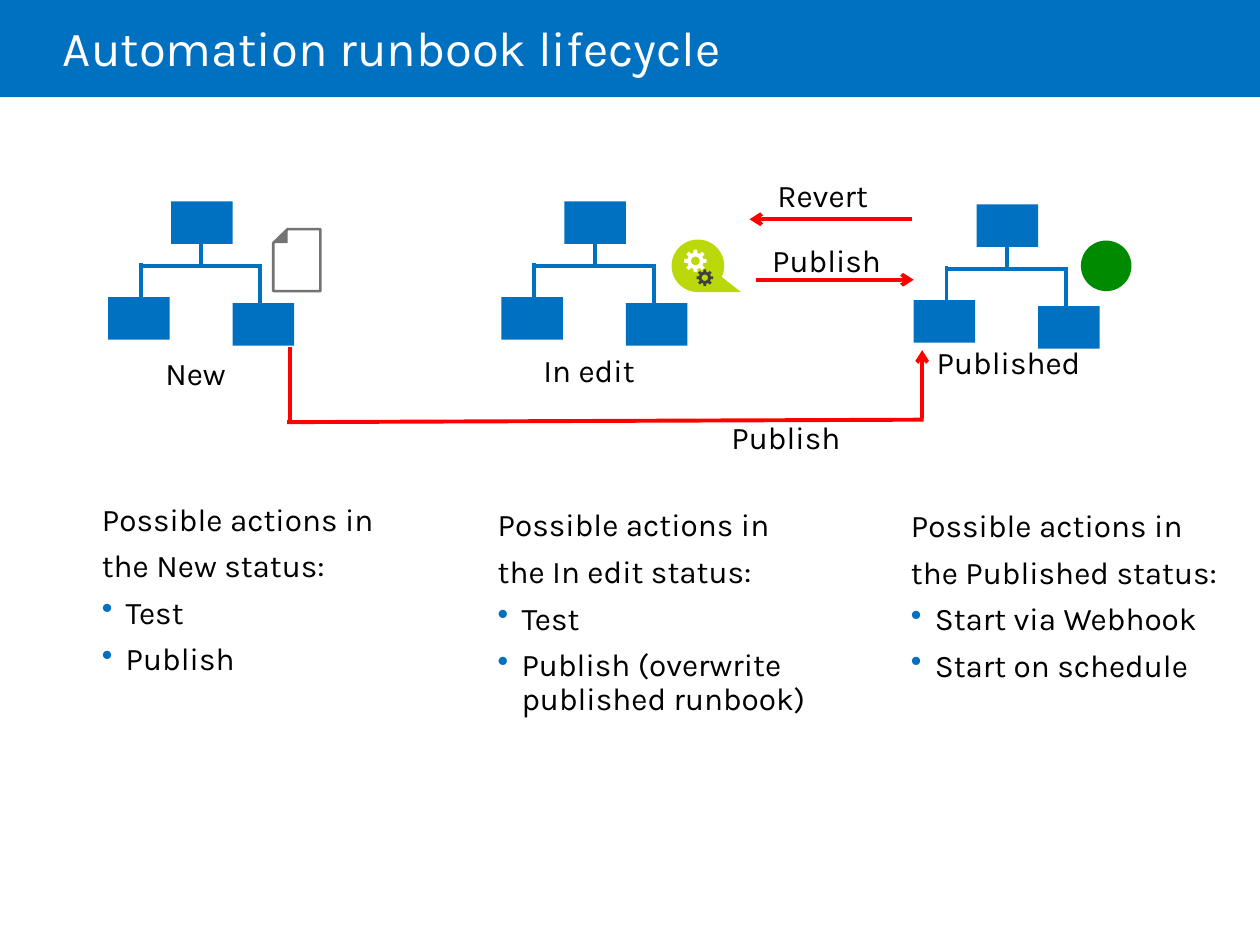
from dataclasses import dataclass
from math import cos, radians, sin

from lxml import etree
from pptx import Presentation
from pptx.dml.color import RGBColor
from pptx.enum.shapes import MSO_CONNECTOR, MSO_SHAPE
from pptx.enum.text import MSO_ANCHOR, PP_ALIGN
from pptx.oxml.ns import qn
from pptx.util import Cm, Pt

RECT = MSO_SHAPE.RECTANGLE
ROUND = MSO_SHAPE.ROUNDED_RECTANGLE
OVAL = MSO_SHAPE.OVAL
STRAIGHT = MSO_CONNECTOR.STRAIGHT
MIDDLE = MSO_ANCHOR.MIDDLE
LEFT, CENTER = PP_ALIGN.LEFT, PP_ALIGN.CENTER

FONT = "Karla"
BLUE, RED, GREEN, LIME = "0070C0", "FF0000", "008A00", "BAD80A"
WHITE, BLACK, GREY, DARK = "FFFFFF", "000000", "737373", "404041"

Point = tuple[float, float]


@dataclass
class Label:
    text: str
    x: float
    y: float
    w: float = 4.75
    align: int = LEFT
    spacing: float = 0.9


@dataclass
class Actions:
    x: float
    y: float
    status: str
    items: list[str]


@dataclass
class Line:
    x1: float
    y1: float
    x2: float
    y2: float
    arrow: bool = False


# Diagram parts, in cm
ORG_ORIGINS = [(2.18, 4.06), (10.11, 4.06), (18.42, 4.12)]
ORG_BOXES = [(1.27, 0), (0, 1.93), (2.51, 2.05)]
ORG_LINES = [Line(3.07, 1.27, 3.07, 2.13), Line(0.66, 1.25, 0.66, 2.11),
             Line(1.88, 0.46, 1.88, 1.33), Line(3.07, 1.3, 0.66, 1.3)]
FLOWS = [Line(15.24, 5.64, 18.42, 5.64, True), Line(18.39, 4.42, 15.11, 4.42, True),
         Line(5.84, 6.99, 5.84, 8.51), Line(5.79, 8.51, 18.62, 8.46),
         Line(18.59, 8.43, 18.59, 7.06, True)]
LABELS = [Label("New", 3.07, 6.99), Label("In edit", 10.69, 6.93),
          Label("Published", 18.62, 6.78),
          Label("Publish ", 14.05, 4.67, 5.38, CENTER, 1.0),
          Label("Publish ", 13.23, 8.23, 5.38, CENTER, 1.0),
          Label("Revert ", 13.97, 3.35, 5.38, CENTER, 1.0)]
ACTIONS = [
    Actions(1.75, 9.37, "New", ["Test", "Publish"]),
    Actions(9.73, 9.83, "In edit", ["Test", "Publish (overwrite \npublished runbook)"]),
    Actions(18.06, 9.5, "Published", ["Start via Webhook", "Start on schedule"]),
]


def rgb(color: str) -> RGBColor:
    return RGBColor.from_string(color)


def style(sp, fill: str | None, line: str | None = None) -> None:
    sp.shadow.inherit = False
    if fill:
        sp.fill.solid()
        sp.fill.fore_color.rgb = rgb(fill)
    else:
        sp.fill.background()
    if line:
        sp.line.color.rgb = rgb(line)
        sp.line.width = Pt(1.5)
    else:
        sp.line.fill.background()


def add_box(s, kind, x: float, y: float, w: float, h: float, fill: str | None):
    sp = s.shapes.add_shape(kind, Cm(x), Cm(y), Cm(w), Cm(h))
    style(sp, fill)
    return sp


def add_outline(s, contours: list[list[Point]], fill: str, line: str | None = None) -> None:
    paths = [[(Cm(x), Cm(y)) for x, y in contour] for contour in contours]
    builder = s.shapes.build_freeform(*paths[0][0])
    builder.add_line_segments(paths[0][1:], close=True)
    for path in paths[1:]:
        builder.move_to(*path[0])
        builder.add_line_segments(path[1:], close=True)
    style(builder.convert_to_shape(), fill, line)


def add_line(s, ln: Line, color: str, dx: float = 0, dy: float = 0) -> None:
    c = s.shapes.add_connector(STRAIGHT, Cm(ln.x1 + dx), Cm(ln.y1 + dy),
                               Cm(ln.x2 + dx), Cm(ln.y2 + dy))
    c.line.color.rgb = rgb(color)
    c.line.width = Pt(2.25)
    if ln.arrow:
        etree.SubElement(c.line._get_or_add_ln(), qn("a:tailEnd"), type="arrow")
    etree.SubElement(c._element.spPr, qn("a:effectLst"))


def add_bullet(p) -> None:
    pPr = p._p.get_or_add_pPr()
    pPr.set("marL", str(Cm(0.48)))
    pPr.set("indent", str(-Cm(0.48)))
    color = etree.SubElement(pPr, qn("a:buClr"))
    etree.SubElement(color, qn("a:srgbClr"), val=BLUE)
    etree.SubElement(pPr, qn("a:buChar"), char="•")


def write(p, text: str, *, size: float = 18, color: str = BLACK, align: int = LEFT,
          spacing: float = 0.9, before: float = 0, bullet: bool = False) -> None:
    p.text = text
    p.alignment = align
    p.line_spacing = spacing
    if before:
        p.space_before = Pt(before)
    if bullet:
        add_bullet(p)
    for r in p.runs:
        r.font.name = FONT
        r.font.size = Pt(size)
        r.font.color.rgb = rgb(color)


def add_text_shape(s, x: float, y: float, w: float, h: float):
    sp = add_box(s, ROUND, x, y, w, h, None)
    sp.adjustments[0] = 0.04
    tf = sp.text_frame
    tf.word_wrap = False
    tf.vertical_anchor = MIDDLE
    return tf


def add_actions(s, a: Actions) -> None:
    tf = add_text_shape(s, a.x, a.y, 4.75, 5.08)
    write(tf.paragraphs[0], "Possible actions in")
    write(tf.add_paragraph(), f"the {a.status} status:", before=7.2)
    for item in a.items:
        write(tf.add_paragraph(), item, before=7.2, bullet=True)


def arc(cx: float, cy: float, r: float, start: int, end: int, step: int) -> list[Point]:
    return [(cx + r * cos(radians(d)), cy + r * sin(radians(d)))
            for d in range(start, end + 1, step)]


def add_gear(s, cx: float, cy: float, r: float, color: str) -> None:
    teeth = [(cx + k * r * cos(radians(45 * i + d)), cy + k * r * sin(radians(45 * i + d)))
             for i in range(8) for d, k in ((-14, 0.72), (-9, 1), (9, 1), (14, 0.72))]
    add_outline(s, [teeth, arc(cx, cy, 0.38 * r, 0, 345, 15)], color)


def main() -> None:
    prs = Presentation()
    prs.slide_width, prs.slide_height = Cm(25.4), Cm(19.05)
    s = prs.slides.add_slide(prs.slide_layouts[6])

    # Title band
    add_box(s, RECT, 0, 0, 25.4, 1.96, BLUE)
    tf = s.shapes.add_textbox(Cm(1.27), 0, Cm(21.59), Cm(2.06)).text_frame
    tf.word_wrap = True
    tf.margin_left = 0
    tf.vertical_anchor = MIDDLE
    write(tf.paragraphs[0], "Automation runbook lifecycle", size=28, color=WHITE, spacing=0.85)

    # Runbook trees
    for x, y in ORG_ORIGINS:
        for ln in ORG_LINES:
            add_line(s, ln, BLUE, x, y)
        for dx, dy in ORG_BOXES:
            add_box(s, RECT, x + dx, y + dy, 1.24, 0.86, BLUE)

    # Status icons: blank page, gears in a bubble, green dot
    add_outline(s, [[(6.46, 5.87), (5.51, 5.87), (5.51, 4.9), (5.8, 4.62), (6.46, 4.62)]],
                WHITE, GREY)
    add_outline(s, [[(5.8, 4.9), (5.51, 4.9), (5.8, 4.62)]], GREY)
    add_outline(s, [arc(14.07, 5.36, 0.53, 90, 385, 5) + [(14.94, 5.89)]], LIME)
    add_gear(s, 14.21, 5.6, 0.17, DARK)
    add_gear(s, 14.02, 5.26, 0.23, WHITE)
    add_box(s, OVAL, 21.79, 4.85, 1.02, 1.02, GREEN)

    # Transitions, labels and actions
    for ln in FLOWS:
        add_line(s, ln, RED)
    for lb in LABELS:
        tf = add_text_shape(s, lb.x, lb.y, lb.w, 1.14)
        write(tf.paragraphs[0], lb.text, align=lb.align, spacing=lb.spacing)
    for a in ACTIONS:
        add_actions(s, a)

    prs.save("out.pptx")


if __name__ == "__main__":
    main()
